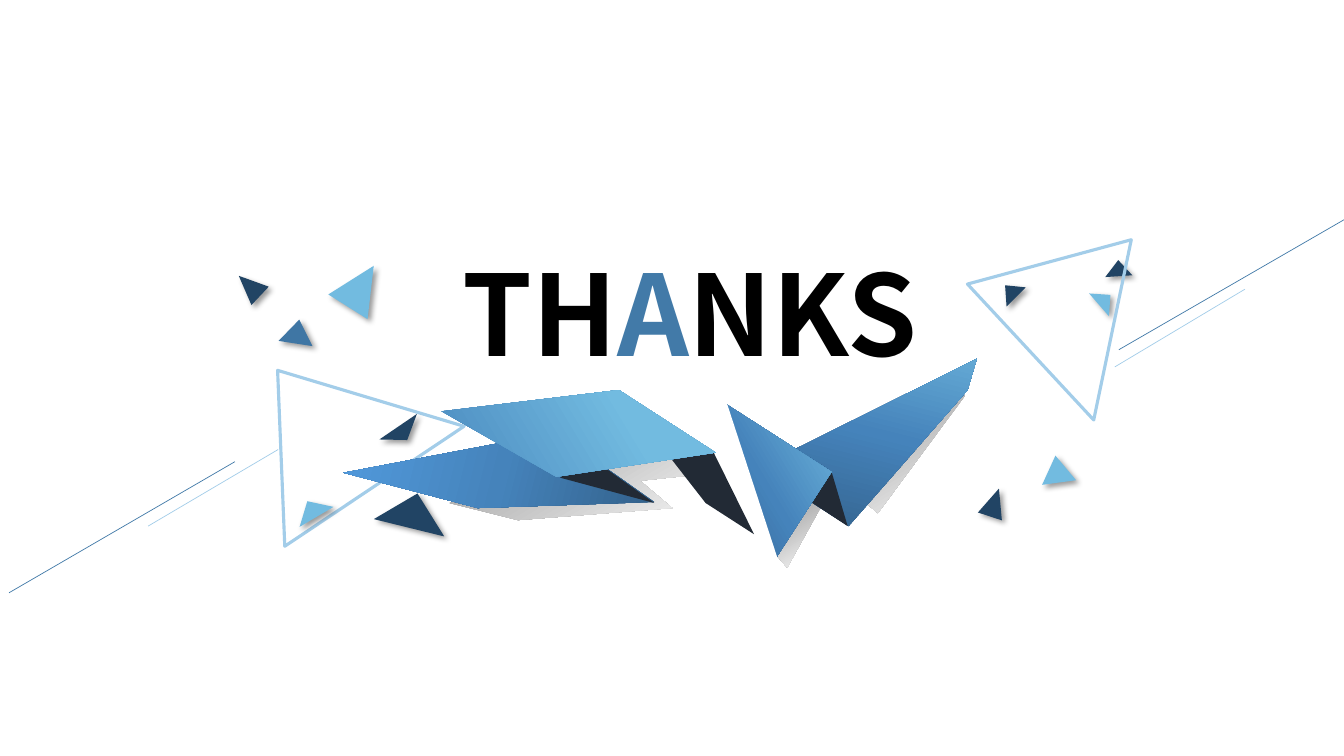
import math

import pptx
import pptx.dml.color
import pptx.enum.shapes
import pptx.enum.text
import pptx.oxml
import pptx.oxml.ns
import pptx.util
from lxml import etree

Pt = pptx.util.Pt
qn = pptx.oxml.ns.qn
FONT = "Noto Sans CJK SC"
COLOURS = {
    "black": "000000", "white": "FFFFFF", "grey": "A6A6A6", "ink": "222A35",
    "navy": "214464", "deep": "305C84", "steel": "3F76A4", "accent": "427AA8",
    "blue": "4583BB", "bright": "529BDE", "sky": "72BBE0", "pale": "A3CDE9",
}
# Gradients: stops in percent, then the clockwise angle
GROUND = ([(23, "grey"), (100, "white")], 45)
LOW_WING = ([(0, "deep"), (50, "blue"), (100, "bright")], 180)
TALL_WING = ([(0, "deep"), (50, "blue"), (100, "sky")], 270)
BEAK_WING = (TALL_WING[0], 315)
TOP_WING = ([(0, "blue"), (65, "sky")], 315)
TILT = 14


def rgb(name):
    return pptx.dml.color.RGBColor.from_string(COLOURS[name])


def paint_gradient(shape, stops, angle):
    shape.fill.gradient()
    shape.fill.gradient_angle = 360 - angle
    stop_list = shape._element.spPr.find(".//" + qn("a:gsLst"))
    for old_stop in list(stop_list):
        stop_list.remove(old_stop)
    for percent, name in stops:
        stop = etree.SubElement(stop_list, qn("a:gs"), pos=str(percent * 1000))
        etree.SubElement(stop, qn("a:srgbClr"), val=COLOURS[name])


def cast_shadow(shape):
    effects = shape._element.spPr.find(qn("a:effectLst"))
    shadow = etree.SubElement(
        effects, qn("a:outerShdw"), blurRad=str(Pt(4)), dist=str(Pt(3)),
        dir=str(45 * 60000), algn="tl", rotWithShape="0")
    tone = etree.SubElement(shadow, qn("a:srgbClr"), val=COLOURS["black"])
    etree.SubElement(tone, qn("a:alpha"), val="40000")


def add_triangle(slide, box, left, top, width, height, turn, peak):
    triangle = slide.shapes.add_shape(
        pptx.enum.shapes.MSO_SHAPE.ISOSCELES_TRIANGLE,
        Pt(box[0] + left), Pt(box[1] + top), Pt(width), Pt(height))
    triangle.rotation = turn
    triangle.adjustments[0] = peak
    triangle.shadow.inherit = False
    return triangle


def add_frame(slide, box, *place):
    frame = add_triangle(slide, box, *place, 0.426)
    frame.fill.background()
    frame.line.color.rgb = rgb("pale")
    frame.line.width = Pt(2.25)


def add_shards(slide, box, shards):
    for *place, colour, peak, flipped in shards:
        shard = add_triangle(slide, box, *place, peak)
        shard.fill.solid()
        shard.fill.fore_color.rgb = rgb(colour)
        shard.line.fill.background()
        cast_shadow(shard)
        if flipped:
            shard._element.spPr.xfrm.set("flipV", "1")


def add_left_cluster(slide, box):
    add_frame(slide, box, 0.6, 69.1, 154.1, 107.3, 326.2)
    add_shards(slide, box, [
        (111.4, 123.8, 32.4, 11.5, 145.8, "navy", 0.5, False),
        (109.3, 172.1, 51.8, 25.2, 193.8, "navy", 0.5, True),
        (9.2, 13.7, 18, 20.9, 313.3, "navy", 0.5, False),
        (81.2, 7.2, 33.1, 34.6, 32.2, "sky", 0.5, False),
        (48.8, 177.1, 28.1, 13, 329.5, "sky", 0.5, False),
        (40.2, 48.2, 24.5, 17.3, 8.8, "steel", 0.5, False),
    ])


def add_right_cluster(slide, box):
    add_shards(slide, box, [
        (89.1, 25.8, 19.4, 11.5, 356.2, "navy", 0.519, False),
        (1.3, 188.5, 18, 20.9, 18.1, "navy", 0.5, False),
        (12.1, 42.3, 19.4, 11.5, 314.9, "navy", 0.519, False),
        (43, 165.4, 24.5, 19.4, 352.3, "sky", 0.5, False),
        (78.3, 48.8, 21.6, 10.8, 49, "sky", 0.5, False),
    ])
    add_frame(slide, box, 9.2, 1.3, 132.5, 107.3, 47.1)


def add_title(slide, box):
    title = slide.shapes.add_textbox(*map(Pt, box)).text_frame
    title.word_wrap = True
    title.auto_size = pptx.enum.text.MSO_AUTO_SIZE.SHAPE_TO_FIT_TEXT
    thanks = title.paragraphs[0]
    thanks.alignment = pptx.enum.text.PP_ALIGN.CENTER
    for letters, colour in (("TH", "black"), ("A", "accent"), ("NKS", "black")):
        run = thanks.add_run()
        run.text = letters
        run.font.size = Pt(80)
        run.font.bold = True
        run.font.name = FONT
        run.font.color.rgb = rgb(colour)
        east_asian = etree.SubElement(run.font._element, qn("a:ea"))
        east_asian.set("typeface", FONT)


def untilt(corners, degrees):
    """Return the outline that shows these corners once it is rotated."""
    turn = complex(math.cos(math.radians(degrees)), math.sin(math.radians(degrees)))
    flat = [complex(x, y) / turn for x, y in corners]
    xs, ys = [p.real for p in flat], [p.imag for p in flat]
    centre = complex(min(xs) + max(xs), min(ys) + max(ys)) / 2
    shift = centre * turn - centre
    return [((p + shift).real, (p + shift).imag) for p in flat]


def add_bird(slide, box):
    facets = [
        # Shadows on the ground
        (GROUND, TILT, [(441.9, 23.6), (444, 28), (382.1, 111.5), (364.1, 96.4)]),
        (GROUND, TILT, [(341.8, 106.4), (317.3, 150.4), (306.5, 138.1), (332.4, 97.8)]),
        (GROUND, TILT, [(246, 84.8), (212.2, 88.4), (235.2, 107.9), (125.1, 116.5),
                        (76.1, 104.3), (235.2, 63.2)]),
        # Folded paper, back to front
        (LOW_WING, TILT, [(96.3, 107.9), (222.3, 103.6), (151.7, 53.9), (0.5, 82.7)]),
        (TALL_WING, TILT, [(361.2, 120.8), (296.4, 79.1), (452.7, 1.3), (446.2, 23.6)]),
        ("ink", TILT, [(155.3, 86.3), (222.3, 104.3), (156.8, 57.5)]),
        ("ink", TILT, [(360.5, 120.8), (349, 82), (320.9, 66.1), (335.3, 104.3)]),
        (BEAK_WING, TILT, [(308.7, 144.6), (349, 82), (270.5, 31.6), (269.8, 117.2)]),
        ("white", 0, [(269.8, 19.3), (326.7, 193.6), (228, 172)]),
        ("ink", TILT, [(259, 104.3), (293.6, 126.6), (264.8, 68.3), (198.5, 26.5)]),
        (TOP_WING, TILT, [(70.4, 38.8), (197.1, 23.6), (266.2, 68.3), (152.4, 85.6)]),
    ]
    bird = slide.shapes.add_group_shape()
    for paint, tilt, corners in facets:
        outline = [(Pt(box[0] + x), Pt(box[1] + y)) for x, y in untilt(corners, tilt)]
        builder = bird.shapes.build_freeform(*outline[0])
        builder.add_line_segments(outline[1:], close=True)
        facet = builder.convert_to_shape()
        facet.rotation = tilt
        facet.shadow.inherit = False
        facet.line.fill.background()
        if isinstance(paint, str):
            facet.fill.solid()
            facet.fill.fore_color.rgb = rgb(paint)
        else:
            paint_gradient(facet, *paint)


def add_streaks(slide, box):
    for x1, y1, x2, y2, colour in (
            (6.5, 273.4, 167.8, 179.8, "accent"), (105.8, 225.8, 198.7, 171.1, "pale"),
            (799.2, 99.8, 960, 7, "accent"), (796.3, 112.1, 889.2, 56.6, "pale")):
        streak = slide.shapes.add_connector(
            pptx.enum.shapes.MSO_CONNECTOR.STRAIGHT, Pt(box[0] + x1),
            Pt(box[1] + y1), Pt(box[0] + x2), Pt(box[1] + y2))
        streak.line.color.rgb = rgb(colour)
        streak.line.width = Pt(0.5)
        etree.SubElement(streak._element.spPr, qn("a:effectLst"))


def main():
    deck = pptx.Presentation()
    deck.slide_width, deck.slide_height = Pt(960), Pt(540)
    slide = deck.slides.add_slide(deck.slide_layouts[6])
    add_left_cluster(slide, (160, 180))
    add_title(slide, (285.1, 171.4, 415.4, 101.5))
    add_bird(slide, (245, 255))
    add_right_cluster(slide, (700, 160))
    add_streaks(slide, (0, 150))
    deck.save("out.pptx")


if __name__ == "__main__":
    main()
